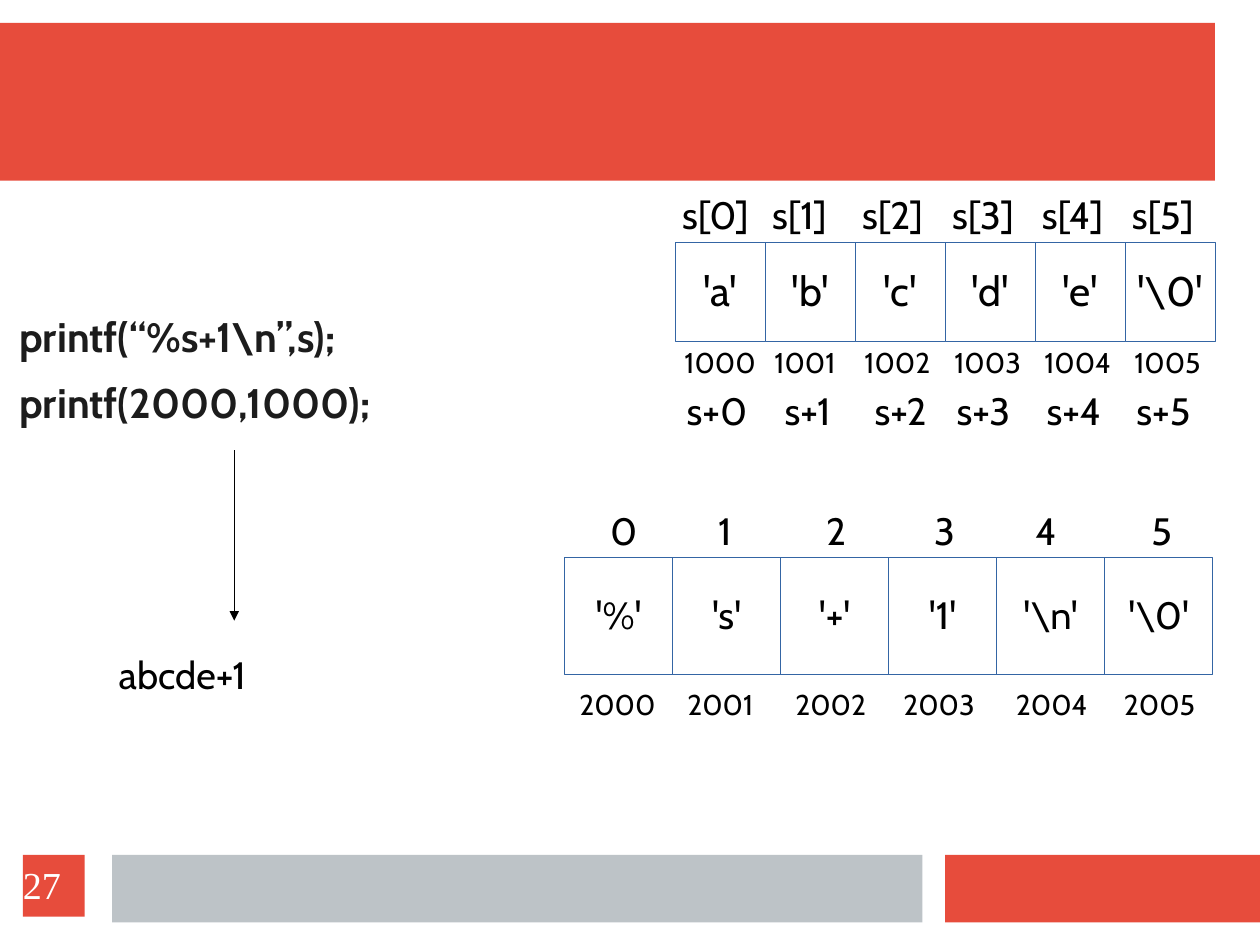
from pptx import Presentation
from pptx.dml.color import RGBColor
from pptx.enum.shapes import MSO_CONNECTOR, MSO_SHAPE
from pptx.enum.text import MSO_ANCHOR, PP_ALIGN
from pptx.oxml.ns import qn
from pptx.util import Inches, Pt
from lxml import etree

RECTANGLE = MSO_SHAPE.RECTANGLE
STRAIGHT = MSO_CONNECTOR.STRAIGHT
MIDDLE, TOP = MSO_ANCHOR.MIDDLE, MSO_ANCHOR.TOP
LEFT, CENTER = PP_ALIGN.LEFT, PP_ALIGN.CENTER

RED = RGBColor(0xE7, 0x4C, 0x3C)
GRAY = RGBColor(0xBD, 0xC3, 0xC7)
BLUE = RGBColor(0x34, 0x65, 0xA4)
WHITE = RGBColor(0xFF, 0xFF, 0xFF)
BLACK = RGBColor(0, 0, 0)
DARK = RGBColor(0x1C, 0x1C, 0x1C)
FONT = "Cabin"
CM_PER_INCH = 2.54
NO_NUDGES = (0, 0, 0, 0, 0, 0)


def write_text(shape, text, size=24, font=FONT, color=BLACK, bold=False,
               align=LEFT, anchor=TOP, margins=(0.1, 0.05), space_after=0):
    frame = shape.text_frame
    frame.word_wrap = False
    frame.vertical_anchor = anchor
    frame.margin_left = frame.margin_right = Inches(margins[0])
    frame.margin_top = frame.margin_bottom = Inches(margins[1])
    frame.text = text
    for paragraph in frame.paragraphs:
        paragraph.alignment = align
        paragraph.line_spacing = 0.97
        paragraph.space_after = Pt(space_after)
        paragraph.font.size = Pt(size)
        paragraph.font.name = font
        paragraph.font.bold = bold
        paragraph.font.color.rgb = color


def add_label(slide, text, left, top, width, height, **text_format):
    box = slide.shapes.add_textbox(
        Inches(left), Inches(top), Inches(width), Inches(height))
    write_text(box, text, **text_format)


def add_box(slide, left, top, width, height, fill, line=None):
    shape = slide.shapes.add_shape(
        RECTANGLE, Inches(left), Inches(top), Inches(width), Inches(height))
    shape.shadow.inherit = False
    shape.fill.solid()
    shape.fill.fore_color.rgb = fill
    if line is None:
        shape.line.fill.background()
    else:
        shape.line.color.rgb = line
        shape.line.width = Pt(0.75)
    return shape


def add_cells(slide, texts, left, top, pitch, height, size):
    for index, text in enumerate(texts):
        cell = add_box(slide, left + index * pitch, top, pitch, height, WHITE, BLUE)
        write_text(cell, text, size=size, align=CENTER, anchor=MIDDLE)


def add_label_row(slide, texts, left, top, pitch, width, height,
                  size=24, nudges=NO_NUDGES):
    for index, (text, nudge) in enumerate(zip(texts, nudges)):
        add_label(slide, text, left + index * pitch + nudge, top,
                  width, height, size=size)


def add_arrow(slide, x, top, bottom):
    arrow = slide.shapes.add_connector(
        STRAIGHT, Inches(x), Inches(top), Inches(x), Inches(bottom))
    arrow.line.color.rgb = BLACK
    arrow.line.width = Pt(0.75)
    head = etree.SubElement(arrow.line._get_or_add_ln(), qn("a:tailEnd"))
    head.set("type", "triangle")
    etree.SubElement(arrow._element.spPr, qn("a:effectLst"))


def main():
    # Page of 28 by 21 centimetres
    presentation = Presentation()
    presentation.slide_width = Inches(28 / CM_PER_INCH)
    presentation.slide_height = Inches(21 / CM_PER_INCH)
    slide = presentation.slides.add_slide(presentation.slide_layouts[6])

    # Header band and footer bars
    add_box(slide, 0, 0.2, 10.63, 1.38, RED)
    add_box(slide, 8.27, 7.48, 2.76, 0.59, RED)
    add_box(slide, 0.98, 7.48, 7.09, 0.59, GRAY)

    # Calls and their output
    add_label(slide, "printf(“%s+1\\n”,s);\nprintf(2000,1000);",
              0.17, 2.75, 4.87, 1.2, size=26, color=DARK, bold=True,
              margins=(0, 0), space_after=11.5)
    add_arrow(slide, 2.05, 3.94, 5.43)
    add_label(slide, "abcde+1", 0.94, 5.67, 1.71, 0.5)

    # Format string in memory
    format_pitch = 0.945
    add_cells(slide, ["'%'", "'s'", "'+'", "'1'", "'\\n'", "'\\0'"],
              4.94, 4.88, format_pitch, 1.02, 24)
    add_label_row(slide, [str(i) for i in range(6)],
                  5.24, 4.41, format_pitch, 0.41, 0.5,
                  nudges=(0, 0, 0, 0, -0.06, 0.01))
    add_label_row(slide, [str(2000 + i) for i in range(6)],
                  4.97, 5.98, format_pitch, 0.99, 0.4, size=18,
                  nudges=(0, 0, 0, 0, 0.04, 0.04))

    # String s in memory
    string_pitch = 0.787
    add_cells(slide, ["'a'", "'b'", "'c'", "'d'", "'e'", "'\\0'"],
              5.91, 2.12, string_pitch, 0.87, 26)
    add_label_row(slide, [f"s[{i}]" for i in range(6)],
                  5.87, 1.65, string_pitch, 0.84, 0.5)
    add_label_row(slide, [str(1000 + i) for i in range(6)],
                  5.89, 2.99, string_pitch, 0.99, 0.4, size=18)
    add_label_row(slide, [f"s+{i}" for i in range(6)],
                  5.91, 3.36, string_pitch, 0.86, 0.5,
                  nudges=(0, 0.07, 0.07, 0, 0, 0))

    # Slide number
    number = add_box(slide, 0.2, 7.48, 0.54, 0.54, RED)
    write_text(number, "27", font="Times New Roman", color=WHITE,
               anchor=MIDDLE, margins=(0, 0))

    presentation.save("out.pptx")


if __name__ == "__main__":
    main()
